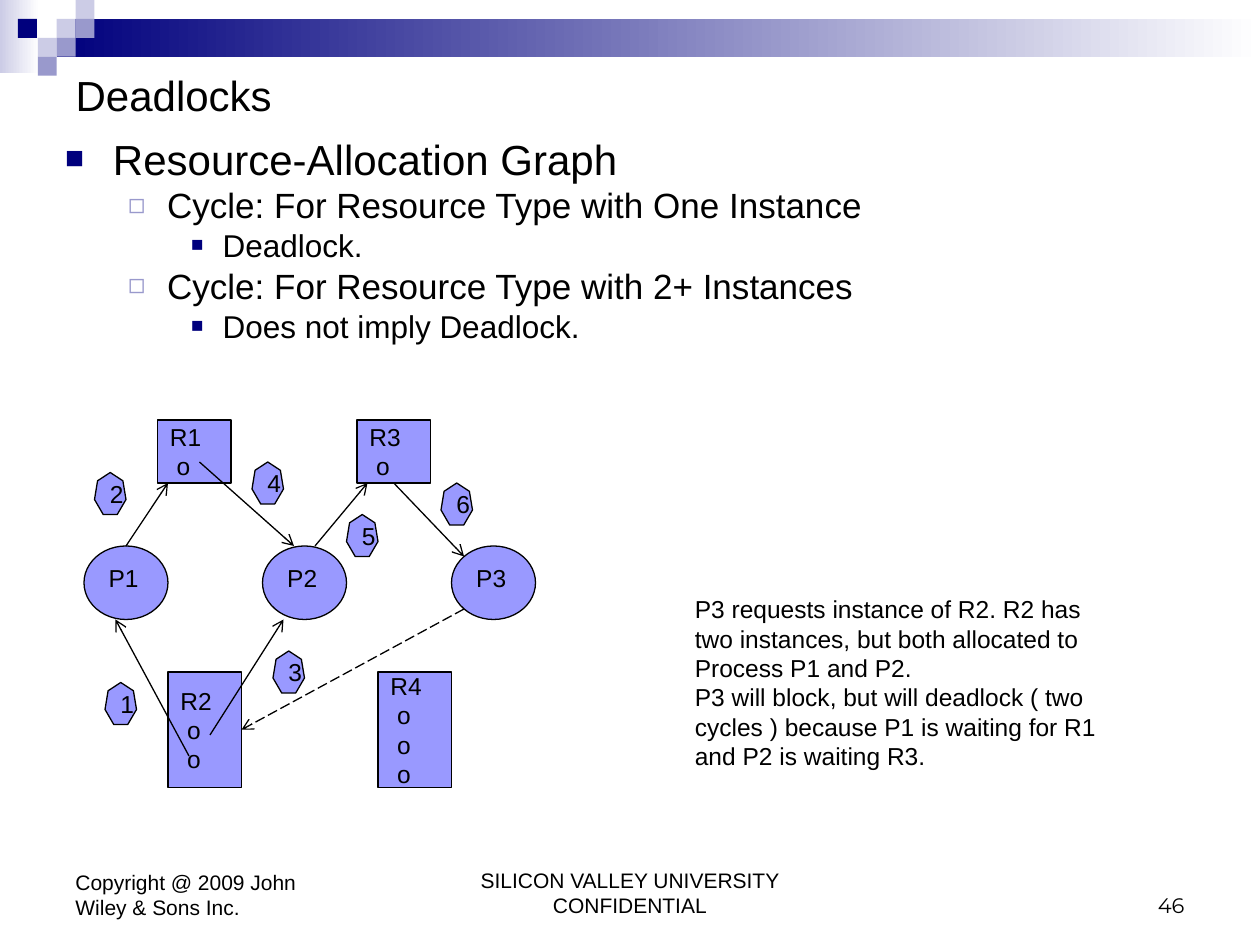
"""Build the Deadlocks slide with its resource-allocation graph."""
import lxml.etree
import pptx
import pptx.dml.color
import pptx.enum.dml
import pptx.enum.shapes
import pptx.enum.text
import pptx.oxml
import pptx.oxml.ns
import pptx.util

qn = pptx.oxml.ns.qn
Pt = pptx.util.Pt
RGB = pptx.dml.color.RGBColor.from_string
MSO = pptx.enum.shapes.MSO_SHAPE
ANCHOR = pptx.enum.text.MSO_ANCHOR
ALIGN = pptx.enum.text.PP_ALIGN
COLORS = {
    "text": "000000",
    "page": "FFFFFF",
    "navy": "00007D",
    "mist": "CCCCE6",
    "slate": "9999CC",
    "node": "9999FF",
}

prs = pptx.Presentation()
prs.slide_width, prs.slide_height = pptx.util.Inches(10), pptx.util.Inches(7.5)
U = prs.slide_width / 120
TILE = prs.slide_width * 0.015
s = prs.slides.add_slide(prs.slide_layouts[1])


def write(tf, text, size=14, font="Arial", align=ALIGN.LEFT, anchor=ANCHOR.TOP, wrap=True):
    tf.text = text
    tf.word_wrap = wrap
    tf.auto_size = pptx.enum.text.MSO_AUTO_SIZE.NONE
    tf.vertical_anchor = anchor
    for p in tf.paragraphs:
        p.alignment = align
        for r in p.runs:
            r.font.size, r.font.name = Pt(size), font
            r.font.color.rgb = RGB(COLORS["text"])


def add_box(kind, x, y, w, h, fill, unit=U, line=None):
    sp = s.shapes.add_shape(kind, *[round(v * unit) for v in (x, y, w, h)])
    sp.shadow.inherit = False
    if len(fill) == 1:
        sp.fill.solid()
        sp.fill.fore_color.rgb = RGB(COLORS[fill[0]])
    else:
        sp.fill.gradient()
        sp.fill.gradient_angle = 0
        for stop, name in zip(sp.fill.gradient_stops, fill):
            stop.color.rgb = RGB(COLORS[name])
    if line:
        sp.line.color.rgb = RGB(COLORS[line])
        sp.line.width = Pt(0.75)
    else:
        sp.line.fill.background()
    return sp


add_box(MSO.RECTANGLE, 0, 0, 2.07, 3.87, ["mist", "page"], TILE)
add_box(MSO.RECTANGLE, 3, 1, 63.67, 2, ["navy", "page"], TILE)
for col, row, color in [
    (3, 1, "mist"), (4, 0, "mist"), (4, 1, "slate"), (2, 2, "mist"),
    (0.95, 1, "navy"), (3, 2, "slate"), (2, 3, "slate"),
]:
    add_box(MSO.RECTANGLE, col, row, 1, 1, [color], TILE)

title, body = s.shapes.title, s.placeholders[1]
for sp, box in [(title, (6, 6, 108, 6)), (body, (5, 13, 108, 69))]:
    sp.left, sp.top, sp.width, sp.height = [round(v * U) for v in box]
write(title.text_frame, "Deadlocks", size=24, anchor=ANCHOR.MIDDLE)

items = [
    (0, "Resource-Allocation Graph"),
    (1, "Cycle: For Resource Type with One Instance"),
    (2, "Deadlock."),
    (1, "Cycle: For Resource Type with 2+ Instances"),
    (2, "Does not imply Deadlock."),
]
levels = [
    (24, 0.38, 0.38, 6, "■", "navy", 75),
    (20, 0.81, 0.31, 5, "◻", "slate", 80),
    (18, 1.25, 0.25, 4.5, "■", "navy", 65),
]
write(body.text_frame, "\n".join(text for _, text in items))
for i, (p, (level, _)) in enumerate(zip(body.text_frame.paragraphs, items)):
    size, margin, hang, before, char, color, scale = levels[level]
    p.level, p.line_spacing = level, 0.8
    p.space_before = Pt(before if i else 0)
    p.runs[0].font.size = Pt(size)
    pPr = p._p.get_or_add_pPr()
    pPr.set("marL", str(pptx.util.Inches(margin)))
    pPr.set("indent", str(-pptx.util.Inches(hang)))
    clr = lxml.etree.SubElement(pPr, qn("a:buClr"))
    lxml.etree.SubElement(clr, qn("a:srgbClr"), val=COLORS[color])
    lxml.etree.SubElement(pPr, qn("a:buSzPct"), val=str(scale * 1000))
    lxml.etree.SubElement(pPr, qn("a:buFont"), typeface="Arial")
    lxml.etree.SubElement(pPr, qn("a:buChar"), char=char)

for name, x, y, h, instances in [
    ("R1", 15, 40, 6, 1), ("R3", 34, 40, 6, 1),
    ("R2", 16, 64, 11, 2), ("R4", 36, 64, 11, 3),
]:
    sp = add_box(MSO.RECTANGLE, x, y, 7, h, ["node"], line="text")
    write(sp.text_frame, name + "\n o" * instances, anchor=ANCHOR.MIDDLE, wrap=False)

for name, x in [("P1", 8), ("P2", 25), ("P3", 43)]:
    sp = add_box(MSO.OVAL, x, 52, 8, 7, ["node"], line="text")
    write(sp.text_frame, name)

steps = [(10, 65), (9, 45), (26, 62), (24, 44), (33, 49), (42, 46)]
for number, (x, y) in enumerate(steps, 1):
    sp = add_box(MSO.HEPTAGON, x, y, 3, 4, ["node"], line="text")
    write(sp.text_frame, str(number), anchor=ANCHOR.MIDDLE)

for x1, y1, x2, y2, dashed in [
    (12, 52, 16, 46, False), (19, 44, 28, 52, False), (30, 52, 35, 46, False),
    (18, 72, 11, 59, False), (20, 70, 27, 59, False), (37.5, 46, 44.2, 53, False),
    (44.2, 58, 23, 69.5, True),
]:
    arrow = s.shapes.add_connector(
        pptx.enum.shapes.MSO_CONNECTOR.STRAIGHT, *[round(v * U) for v in (x1, y1, x2, y2)])
    arrow.line.color.rgb = RGB(COLORS["text"])
    arrow.line.width = Pt(0.75)
    if dashed:
        arrow.line.dash_style = pptx.enum.dml.MSO_LINE.LONG_DASH
    lxml.etree.SubElement(arrow.line._get_or_add_ln(), qn("a:tailEnd"), type="arrow")
    lxml.etree.SubElement(arrow._element.spPr, qn("a:effectLst"))

note = (
    "P3 requests instance of R2. R2 has two instances, but both allocated to Process P1 and P2.\n"
    "P3 will block, but will deadlock ( two cycles ) because P1 is waiting for R1 "
    "and P2 is waiting R3."
)
footer = {"size": 12, "anchor": ANCHOR.BOTTOM}
for text, box, fmt in [
    (note, (65, 56, 42, 19), {}),
    ("Copyright @ 2009 John Wiley & Sons Inc.", (6, 82, 28, 6.2), footer),
    ("SILICON VALLEY UNIVERSITY CONFIDENTIAL", (41, 82, 38, 6), {**footer, "align": ALIGN.CENTER}),
    ("46", (86, 82, 28, 6), {**footer, "align": ALIGN.RIGHT, "font": "Montserrat"}),
]:
    sp = s.shapes.add_textbox(*[round(v * U) for v in box])
    write(sp.text_frame, text, **fmt)

prs.save("out.pptx")
